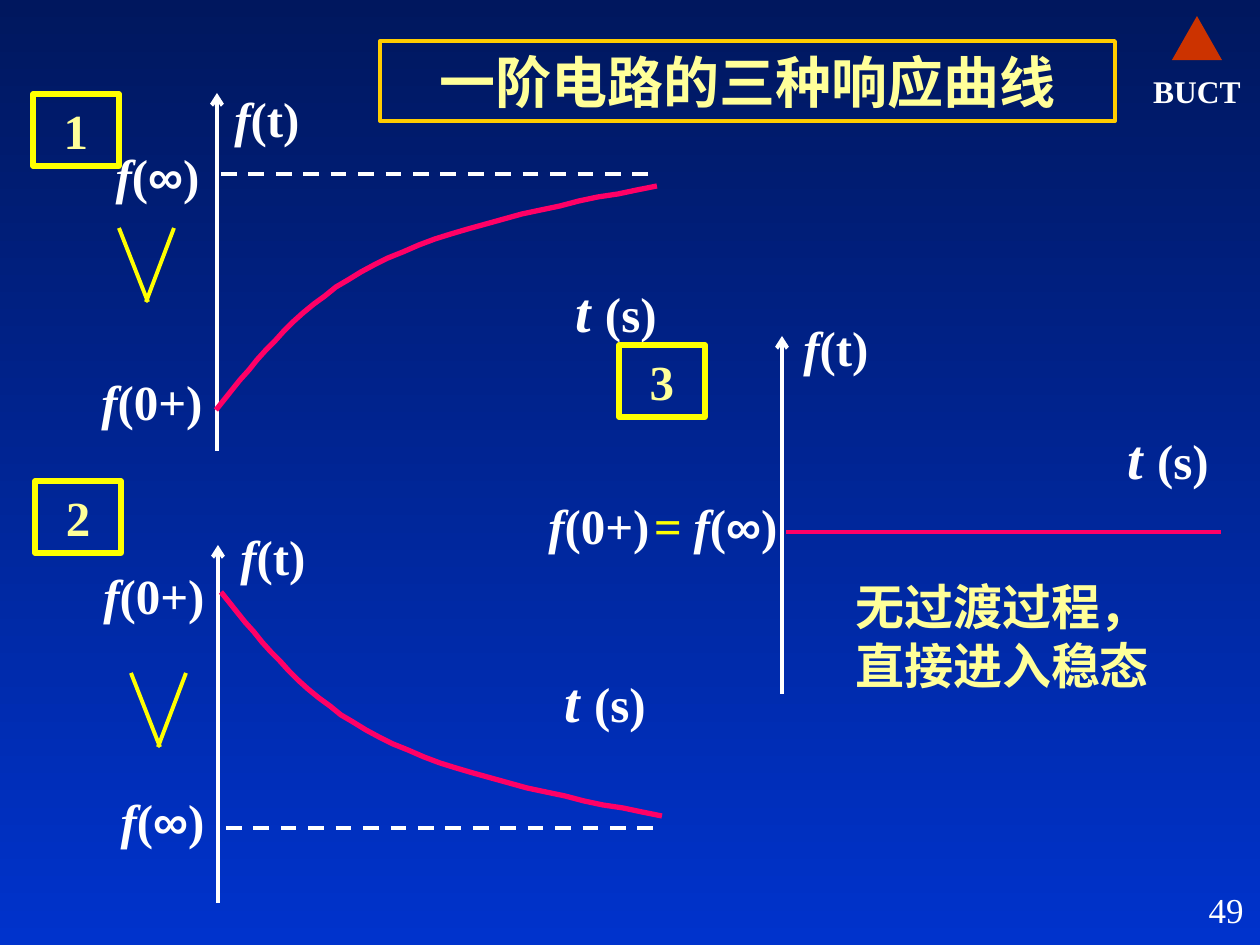
from lxml.etree import SubElement
from pptx import Presentation
from pptx.dml.color import RGBColor
from pptx.enum.dml import MSO_LINE
from pptx.enum.shapes import MSO_CONNECTOR, MSO_SHAPE
from pptx.enum.text import MSO_ANCHOR, PP_ALIGN
from pptx.oxml.ns import qn
from pptx.util import Pt

EMU_PER_PX = 914400 / 126
COLORS = {
    "top": "00175E", "bottom": "0033CC", "white": "FFFFFF", "yellow": "FFFF00",
    "pale": "FFFF99", "gold": "FFCC00", "curve": "FF0066", "emblem": "CC3300",
}
SERIF = "Times New Roman"

# Each run: text, then the font settings that differ from its paragraph
F = ("f", {"italic": True})
F_TIME = [F, ("(t)", {})]
F_START = [F, ("(0+)", {})]
F_END = [F, ("(", {}), ("∞", {"name": "Arial"}), (")", {})]
TIME = [("t ", {"italic": True, "size": Pt(32)}), ("(s)", {})]

# Control points of the rising curve, measured from its start
RISE = [(0, 0), (43, -54), (85, -108), (158, -145), (232, -183), (336, -204), (441, -224)]


def px(*lengths):
    return [round(length * EMU_PER_PX) for length in lengths]


def rgb(color):
    return RGBColor.from_string(COLORS[color])


def set_background(slide):
    fill = slide.background.fill
    fill.gradient()
    fill.gradient_angle = 270
    for stop, color in zip(fill.gradient_stops, ("top", "bottom")):
        stop.color.rgb = rgb(color)


def write(frame, runs, color, size=28, align=PP_ALIGN.CENTER, bold=True):
    paragraph = frame.paragraphs[0]
    paragraph.alignment = align
    font = paragraph.font
    font.name, font.size, font.bold = SERIF, Pt(size), bold
    font.color.rgb = rgb(color)
    for text, settings in runs:
        run = paragraph.add_run()
        run.text = text
        for setting, value in settings.items():
            if setting == "color":
                run.font.color.rgb = rgb(value)
            else:
                setattr(run.font, setting, value)


def add_text(slide, box, runs, color="white", wrap=True, anchor=MSO_ANCHOR.TOP, **style):
    frame = slide.shapes.add_textbox(*px(*box)).text_frame
    frame.word_wrap = wrap
    frame.vertical_anchor = anchor
    write(frame, runs, color, **style)
    return frame


def add_label(slide, left, top, width, runs, height=72):
    add_text(slide, (left, top, width, height), runs, wrap=False, anchor=MSO_ANCHOR.MIDDLE)


def add_framed_text(slide, box, text, border, weight, size=28):
    frame = slide.shapes.add_shape(MSO_SHAPE.RECTANGLE, *px(*box))
    frame.shadow.inherit = False
    frame.fill.background()
    frame.line.color.rgb = rgb(border)
    frame.line.width = Pt(weight)
    frame.text_frame.word_wrap = True
    frame.text_frame.vertical_anchor = MSO_ANCHOR.TOP
    write(frame.text_frame, [(text, {})], "pale", size)


def add_line(slide, start, end, color="white", dashed=False, arrow=False):
    line = slide.shapes.add_connector(MSO_CONNECTOR.STRAIGHT, *px(*start, *end))
    line.line.color.rgb = rgb(color)
    line.line.width = Pt(2.25)
    if dashed:
        line.line.dash_style = MSO_LINE.DASH
    properties = line.element.spPr
    if arrow:
        SubElement(properties.find(qn("a:ln")), qn("a:tailEnd"), type="arrow")
    SubElement(properties, qn("a:effectLst"))


def bezier(p0, p1, p2, p3, t):
    s = 1 - t
    return tuple(s**3 * a + 3 * s * s * t * b + 3 * s * t * t * c + t**3 * d
                 for a, b, c, d in zip(p0, p1, p2, p3))


def add_curve(slide, left, top, direction, steps=16):
    """Draw the response from its start; direction 1 rises, -1 falls."""
    controls = [(left + dx, top + direction * dy) for dx, dy in RISE]
    points = [bezier(*controls[first:first + 4], step / steps)
              for first in (0, 3) for step in range(1, steps + 1)]
    builder = slide.shapes.build_freeform(left, top, scale=EMU_PER_PX)
    builder.add_line_segments(points, close=False)
    curve = builder.convert_to_shape()
    curve.shadow.inherit = False
    curve.fill.background()
    curve.line.color.rgb = rgb("curve")
    curve.line.width = Pt(3)


def add_v_mark(slide, left, top):
    add_line(slide, (left, top), (left + 29, top + 74), "yellow")
    add_line(slide, (left + 55, top), (left + 27, top + 74), "yellow")


def add_panel(slide, number, badge, axis, f_time, time):
    """Draw what all three plots share: badge, vertical axis and axis names."""
    x, top = axis
    add_line(slide, (x, top + 358), (x, top), arrow=True)
    add_text(slide, (*f_time, 131, 72), F_TIME, align=PP_ALIGN.LEFT)
    add_label(slide, *time, 106, TIME, height=81)
    add_framed_text(slide, (*badge, 86, 72), number, "yellow", 3)


def add_emblem(slide):
    emblem = slide.shapes.add_shape(MSO_SHAPE.ISOSCELES_TRIANGLE, *px(1172, 16, 50, 44))
    emblem.shadow.inherit = False
    emblem.fill.solid()
    emblem.fill.fore_color.rgb = rgb("emblem")
    emblem.line.fill.background()
    name = add_text(slide, (1143, 72, 108, 38), [("BUCT", {})], size=18,
                    anchor=MSO_ANCHOR.MIDDLE)
    name.margin_left = name.margin_right = name.margin_top = name.margin_bottom = 0


def main():
    presentation = Presentation()
    presentation.slide_width, presentation.slide_height = px(1260, 945)
    slide = presentation.slides.add_slide(presentation.slide_layouts[6])
    set_background(slide)
    add_emblem(slide)

    add_panel(slide, "1", (33, 94), (217, 93), (222, 82), (563, 270))
    add_line(slide, (221, 174), (656, 174), dashed=True)
    add_curve(slide, 216, 410, 1)
    add_label(slide, 102, 139, 111, F_END)
    add_v_mark(slide, 119, 228)
    add_label(slide, 89, 365, 126, F_START)

    add_panel(slide, "2", (35, 481), (218, 545), (228, 520), (552, 660))
    add_line(slide, (226, 828), (661, 828), dashed=True)
    add_curve(slide, 221, 592, -1)
    add_label(slide, 91, 559, 126, F_START)
    add_v_mark(slide, 131, 673)
    add_label(slide, 107, 784, 111, F_END)

    add_panel(slide, "3", (619, 345), (782, 336), (791, 311), (1115, 417))
    add_line(slide, (786, 532), (1221, 532), "curve")
    add_label(slide, 536, 489, 126, F_START)
    equals = ("=", {"italic": True, "color": "yellow"})
    add_label(slide, 640, 489, 151, [equals, (" f", {"italic": True}), *F_END[1:]])
    add_text(slide, (843, 570, 352, 131), [("无过渡过程，直接进入稳态", {})], "pale",
             align=PP_ALIGN.LEFT)

    add_framed_text(slide, (380, 41, 735, 80), "一阶电路的三种响应曲线", "gold", 2.25, size=32)
    add_text(slide, (994, 882, 262, 63), [("49", {})], size=20, align=PP_ALIGN.RIGHT, bold=False)
    presentation.save("out.pptx")


if __name__ == "__main__":
    main()
